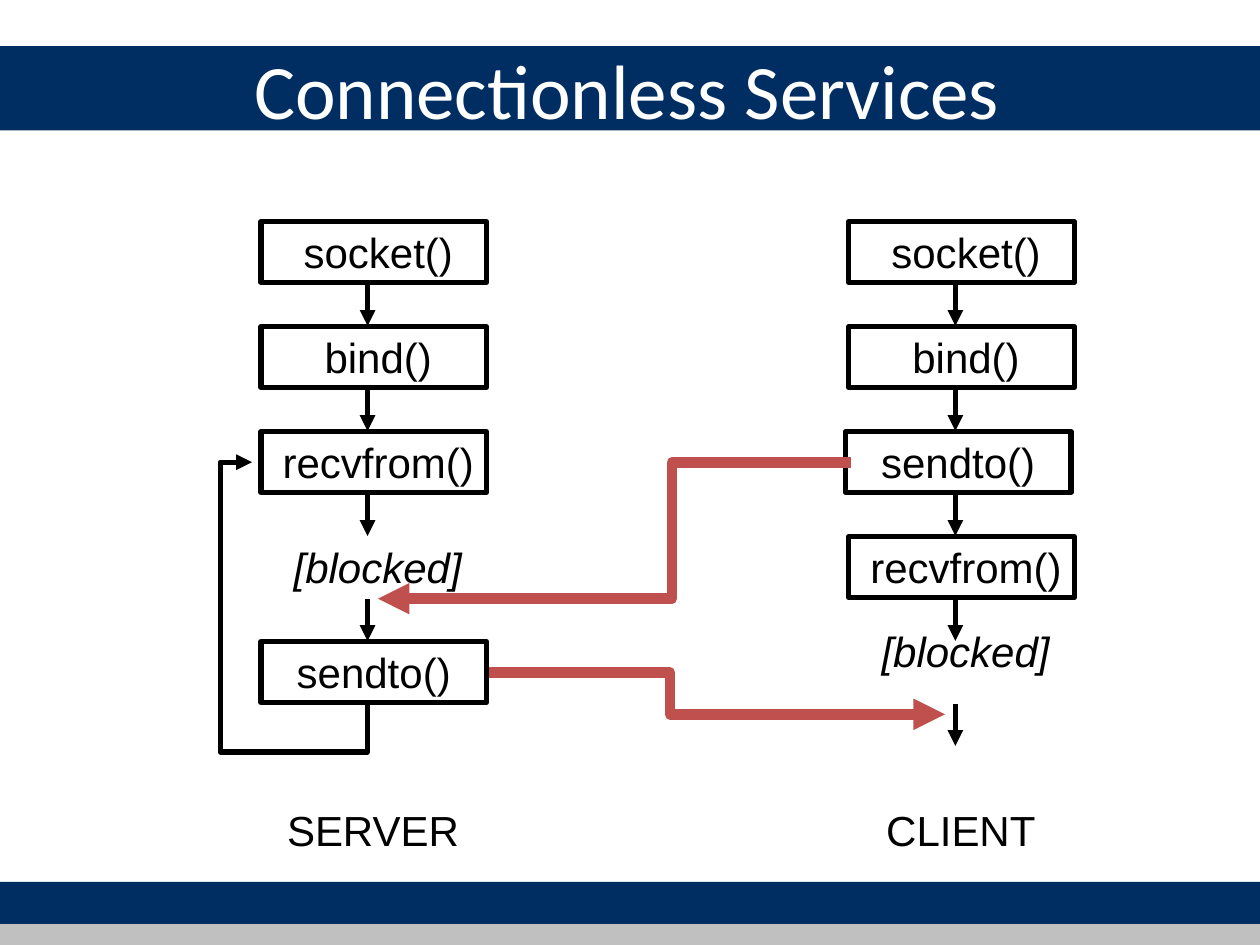
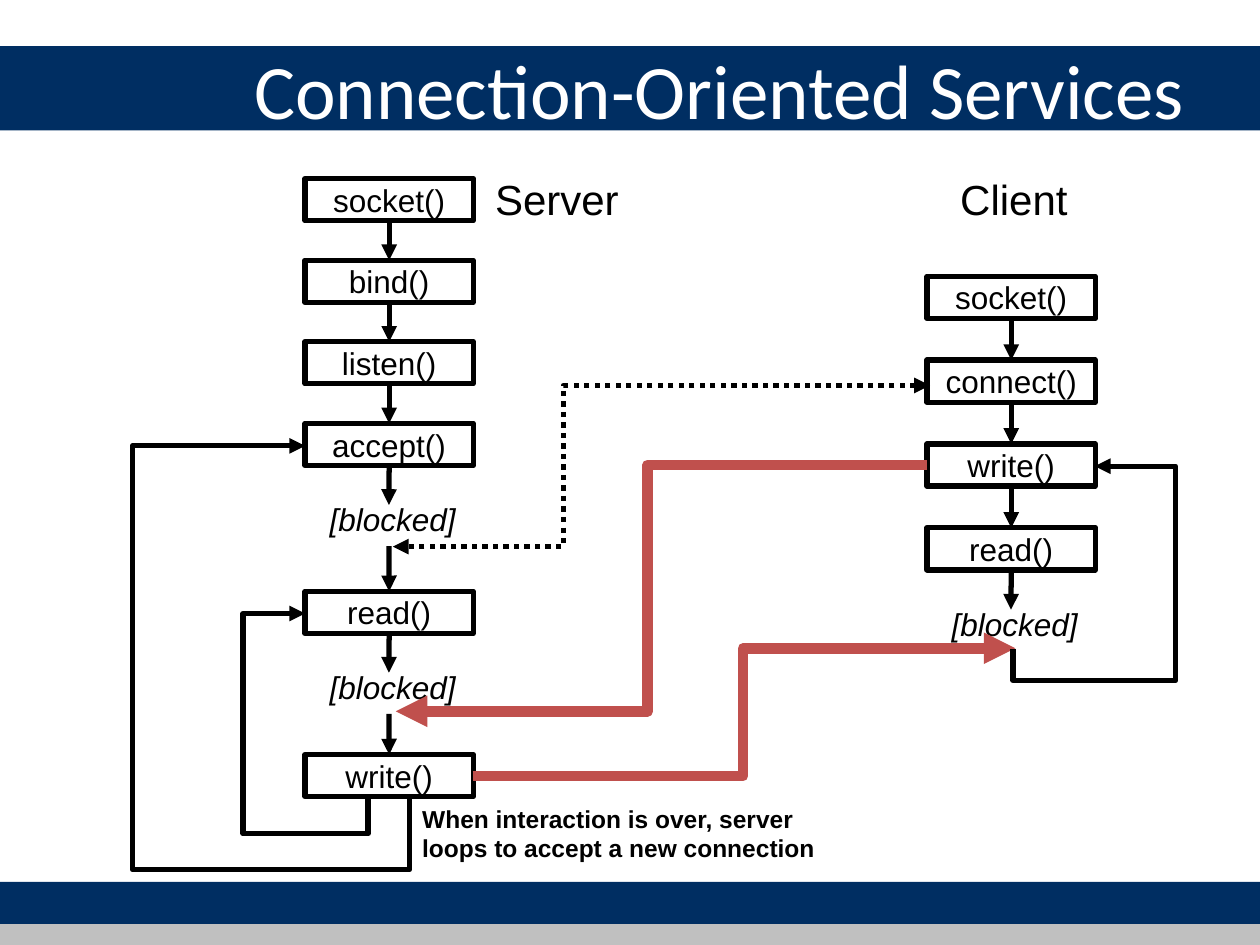
import pptx
import pptx.dml.color
import pptx.enum.dml
import pptx.enum.shapes
import pptx.enum.text
import pptx.oxml.ns
import pptx.util
from lxml import etree

Cm = pptx.util.Cm
Pt = pptx.util.Pt
RGBColor = pptx.dml.color.RGBColor
ALIGN = pptx.enum.text.PP_ALIGN
ANCHOR = pptx.enum.text.MSO_ANCHOR
CONNECTOR = pptx.enum.shapes.MSO_CONNECTOR
RECTANGLE = pptx.enum.shapes.MSO_SHAPE.RECTANGLE
qn = pptx.oxml.ns.qn

NAVY = RGBColor(0x00, 0x2E, 0x62)
SILVER = RGBColor(0xC0, 0xC0, 0xC0)
BLACK = RGBColor(0x00, 0x00, 0x00)
WHITE = RGBColor(0xFF, 0xFF, 0xFF)
RED = RGBColor(0xC0, 0x50, 0x4D)

SLIDE_WIDTH, SLIDE_HEIGHT = 25.4, 19.05
BANDS = [(0.93, 1.7, NAVY), (17.78, 0.85, NAVY), (18.63, 0.42, SILVER)]


def write(frame, text, *, size, font="Arial", color=BLACK, bold=False,
          italic=False, align=ALIGN.CENTER, anchor=ANCHOR.TOP):
    frame.word_wrap = True
    frame.vertical_anchor = anchor
    paragraph = frame.paragraphs[0]
    paragraph.alignment = align
    run = paragraph.add_run()
    run.text = text
    run.font.name = font
    run.font.size = Pt(size)
    run.font.color.rgb = color
    run.font.bold = bold
    run.font.italic = italic


def add_label(slide, text, left, top, width, height, **style):
    label = slide.shapes.add_textbox(Cm(left), Cm(top), Cm(width), Cm(height))
    write(label.text_frame, text, **style)


def add_call(slide, text, left, top, width, height, size, inset=0):
    """Outlined box with a function call; inset nudges the text right."""
    call = slide.shapes.add_shape(
        RECTANGLE, Cm(left), Cm(top), Cm(width), Cm(height))
    call.shadow.inherit = False
    call.fill.background()
    call.line.color.rgb = BLACK
    call.line.width = Pt(3)
    frame = call.text_frame
    frame.margin_left = Cm(inset)
    frame.margin_right = frame.margin_top = frame.margin_bottom = 0
    write(frame, text, size=size, anchor=ANCHOR.MIDDLE)
    return call


def style_line(connector, color=BLACK, width=3, dash=None, both_ends=False):
    line = connector.line
    line.color.rgb = color
    line.width = Pt(width)
    if dash:
        line.dash_style = dash
    outline = line._get_or_add_ln()
    for end in ("a:headEnd", "a:tailEnd") if both_ends else ("a:tailEnd",):
        etree.SubElement(outline, qn(end), type="triangle")
    etree.SubElement(connector._element.spPr, qn("a:effectLst"))


def set_bends(connector, *shares):
    """Place the bends at the given shares of the connector's size."""
    geometry = connector._element.spPr.find(qn("a:prstGeom"))
    geometry.set("prst", f"bentConnector{len(shares) + 2}")
    guides = geometry.find(qn("a:avLst"))
    if guides is None:
        guides = etree.SubElement(geometry, qn("a:avLst"))
    for number, share in enumerate(shares, 1):
        etree.SubElement(guides, qn("a:gd"), name=f"adj{number}",
                         fmla=f"val {round(share * 100000)}")


def add_arrow(slide, x, top, bottom, above=None, below=None):
    """Downward arrow, joined to the boxes above and below where given."""
    arrow = slide.shapes.add_connector(
        CONNECTOR.STRAIGHT, Cm(x), Cm(top), Cm(x), Cm(bottom))
    if above:
        arrow.begin_connect(above, 2)
    if below:
        arrow.end_connect(below, 0)
    style_line(arrow)


def add_message(slide, start, end, bend_x, **style):
    """Arrow that runs sideways, turns at bend_x, and runs sideways again."""
    message = slide.shapes.add_connector(
        CONNECTOR.ELBOW, *map(Cm, start + end))
    set_bends(message, (bend_x - start[0]) / (end[0] - start[0]))
    style_line(message, **style)


def add_loop(slide, start, end, floor, side):
    """Arrow down to floor, across to side, up, and back in to end."""
    (x1, y1), (x2, y2) = start, end
    run, rise = abs(x2 - x1), abs(y2 - y1)
    mid_x, mid_y = (x1 + x2) / 2, (y1 + y2) / 2
    # The connector is laid out turned by a quarter, so its sides swap.
    loop = slide.shapes.add_connector(
        CONNECTOR.ELBOW, Cm(mid_x - rise / 2), Cm(mid_y - run / 2),
        Cm(mid_x + rise / 2), Cm(mid_y + run / 2))
    frame = loop._element.spPr.find(qn("a:xfrm"))
    to_right = x2 > x1
    frame.set("rot", str((90 if to_right else 270) * 60000))
    frame.set("flipV", "1")
    if to_right:
        frame.set("flipH", "1")
    set_bends(loop, -(floor - y1) / rise, abs(side - x1) / run)
    style_line(loop)


def add_bands(layout, slide):
    """Draw the bands and move them to the layout behind its placeholders."""
    for position, (top, height, color) in enumerate(BANDS, 2):
        band = slide.shapes.add_shape(
            RECTANGLE, 0, Cm(top), Cm(SLIDE_WIDTH), Cm(height))
        band.shadow.inherit = False
        band.fill.solid()
        band.fill.fore_color.rgb = color
        band.line.fill.background()
        layout.shapes._spTree.insert(position, band._element)


def set_title(slide, text):
    title = slide.shapes.title
    title.left, title.top = Cm(4.87), Cm(0.2)
    title.width, title.height = Cm(20.12), Cm(3.18)
    write(title.text_frame, text, size=44, font="Calibri", color=WHITE,
          align=ALIGN.LEFT, anchor=ANCHOR.MIDDLE)


def draw_connectionless(slide):
    set_title(slide, "Connectionless Services")
    first_top, pitch = 4.47, 2.117
    # Per side: name, left, calls by row, arrow count, top of "[blocked]"
    sides = [
        ("SERVER", 5.26, {0: "socket()", 1: "bind()", 2: "recvfrom()",
                          4: "sendto()"}, 4, 10.8),
        ("CLIENT", 17.11, {0: "socket()", 1: "bind()", 2: "sendto()",
                           3: "recvfrom()"}, 5, 12.49),
    ]
    for name, left, calls, arrow_count, blocked_top in sides:
        for row, call in calls.items():
            is_send = call == "sendto()"
            shift = -0.07 if is_send and name == "CLIENT" else 0
            add_call(slide, call, left + shift, first_top + row * pitch,
                     4.55, 1.22, 24, inset=0 if is_send else 0.18)
        for row in range(arrow_count):
            top = 5.72 + row * pitch
            add_arrow(slide, left + 2.15, top, top + 0.85)
        add_label(slide, "[blocked]", left + 0.03, blocked_top, 4.65, 1.27,
                  size=24, italic=True)
        add_label(slide, name, left - 0.6, 16.09, 5.72, 1.27, size=24)

    add_loop(slide, (7.41, 14.18), (5.08, 9.32), floor=15.16, side=4.44)
    add_message(slide, (17.15, 9.32), (7.62, 12.07), 13.55,
                color=RED, width=6)
    add_message(slide, (9.86, 13.56), (19.05, 14.4), 13.51,
                color=RED, width=6)


def draw_call_chain(slide, left, groups, blocked):
    """Groups of (top, pitch, calls), split by "[blocked]" at given tops."""
    x = left + 1.69
    waiting_from = None
    for index, (top, pitch, calls) in enumerate(groups):
        above = None
        for row, call in enumerate(calls):
            box = add_call(slide, call, left, top + row * pitch,
                           3.39, 0.85, 18)
            if above:
                add_arrow(slide, x, top, top, above, box)
            elif waiting_from:
                add_arrow(slide, x, waiting_from, top, below=box)
            above = box
        if index < len(blocked):
            blocked_top = blocked[index]
            add_arrow(slide, x, top, blocked_top + 0.22, above=above)
            add_label(slide, "[blocked]", left - 0.88, blocked_top,
                      5.29, 1.02, size=18, italic=True)
            waiting_from = blocked_top + 1.05


def draw_connection_oriented(slide):
    set_title(slide, "Connection-Oriented Services")
    draw_call_chain(slide, 6.15, [
        (3.6, 1.645, ["socket()", "bind()", "listen()", "accept()"]),
        (11.92, 0, ["read()"]),
        (15.21, 0, ["write()"]),
    ], blocked=[9.96, 13.34])
    draw_call_chain(slide, 18.69, [
        (5.57, 1.69, ["socket()", "connect()", "write()", "read()"]),
    ], blocked=[12.07])

    add_message(slide, (18.75, 7.77), (7.92, 11.02), 11.35, both_ends=True,
                dash=pptx.enum.dml.MSO_LINE.ROUND_DOT)
    add_message(slide, (18.69, 9.37), (7.98, 14.34), 13.06,
                color=RED, width=6)
    add_message(slide, (9.53, 15.65), (20.47, 13.07), 14.98,
                color=RED, width=6)
    add_loop(slide, (7.42, 16.08), (6.15, 12.37), floor=16.81, side=4.9)
    add_loop(slide, (8.26, 16.08), (6.15, 8.99), floor=17.53, side=2.67)
    add_loop(slide, (20.42, 13.08), (22.07, 9.4), floor=13.72, side=23.7)

    add_label(slide, "Server", 9.73, 3.38, 5.72, 1.27, size=24,
              align=ALIGN.LEFT)
    add_label(slide, "Client", 17.58, 3.38, 5.72, 1.27, size=24)
    add_label(slide, "When interaction is over, server loops to accept "
              "a new connection", 8.26, 16.08, 8.46, 1.45,
              size=14, bold=True, align=ALIGN.LEFT)


def main():
    deck = pptx.Presentation()
    deck.slide_width, deck.slide_height = Cm(SLIDE_WIDTH), Cm(SLIDE_HEIGHT)
    title_only = deck.slide_layouts[5]
    connectionless = deck.slides.add_slide(title_only)
    add_bands(title_only, connectionless)
    draw_connectionless(connectionless)
    draw_connection_oriented(deck.slides.add_slide(title_only))
    deck.save("out.pptx")


if __name__ == "__main__":
    main()
